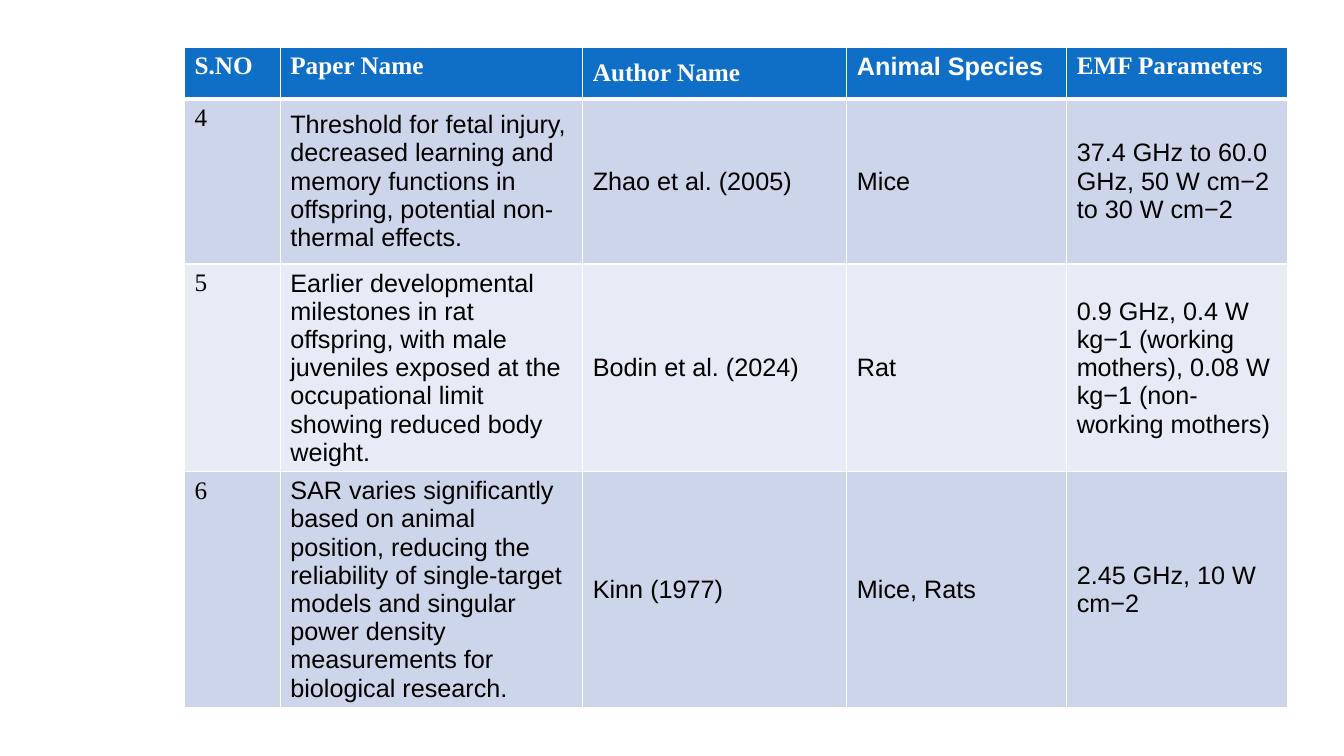
import pptx
import pptx.dml.color
import pptx.enum.text
import pptx.oxml
import pptx.oxml.ns
import pptx.util
from pptx.util import Inches

COLORS = {
    "header": "0F6FC6",
    "odd_row": "CCD5EA",
    "even_row": "E7EBF5",
    "white": "FFFFFF",
    "black": "000000",
}
SERIF = "Times New Roman"
SANS = "Arial"
COLUMN_WIDTHS = [0.95, 3, 2.62, 2.18, 2.19]
ROW_HEIGHTS = [0.51, 1.64, 1.9, 2.16]
HEADINGS = ["S.NO", "Paper Name", "Author Name", "Animal Species", "EMF Parameters"]
STUDIES = [
    ["4",
     "Threshold for fetal injury, decreased learning and memory functions in offspring, "
     "potential non-thermal effects.",
     "Zhao et al. (2005)", "Mice", "37.4 GHz to 60.0 GHz, 50 W cm−2 to 30 W cm−2"],
    ["5",
     "Earlier developmental milestones in rat offspring, with male juveniles exposed at the "
     "occupational limit showing reduced body weight.",
     "Bodin et al. (2024)", "Rat",
     "0.9 GHz, 0.4 W kg−1 (working mothers), 0.08 W kg−1 (non-working mothers)"],
    ["6",
     "SAR varies significantly based on animal position, reducing the reliability of "
     "single-target models and singular power density measurements for biological research.",
     "Kinn (1977)", "Mice, Rats", "2.45 GHz, 10 W cm−2"],
]


class StudySlide:
    def __init__(self, presentation, font_size=18):
        self.slide = presentation.slides.add_slide(presentation.slide_layouts[6])
        self.font_size = pptx.util.Pt(font_size)

    def color(self, name):
        return pptx.dml.color.RGBColor.from_string(COLORS[name])

    def table(self, left, top, column_widths, row_heights):
        table = self.slide.shapes.add_table(
            len(row_heights), len(column_widths), Inches(left), Inches(top),
            Inches(sum(column_widths)), Inches(sum(row_heights))).table
        for column, width in zip(table.columns, column_widths):
            column.width = Inches(width)
        for row, height in zip(table.rows, row_heights):
            row.height = Inches(height)
        return table

    def cell(self, cell, text, fill, text_color, font_name, bold, middle):
        cell.text = text
        anchors = pptx.enum.text.MSO_ANCHOR
        cell.vertical_anchor = anchors.MIDDLE if middle else anchors.TOP
        cell.fill.solid()
        cell.fill.fore_color.rgb = self.color(fill)
        font = cell.text_frame.paragraphs[0].font
        font.name = font_name
        font.size = self.font_size
        font.bold = bold
        font.color.rgb = self.color(text_color)

    def borders(self, cell, top=1, bottom=1):
        properties = cell._tc.get_or_add_tcPr()
        widths = {"lnL": 1, "lnR": 1, "lnT": top, "lnB": bottom}
        for index, (side, width) in enumerate(widths.items()):
            line = pptx.oxml.parse_xml(
                f'<a:{side} {pptx.oxml.ns.nsdecls("a")} w="{pptx.util.Pt(width)}">'
                f'<a:solidFill><a:srgbClr val="{COLORS["white"]}"/></a:solidFill></a:{side}>')
            properties.insert(index, line)


def main():
    presentation = pptx.Presentation()
    presentation.slide_width = Inches(13.33)
    presentation.slide_height = Inches(7.5)
    study_slide = StudySlide(presentation)
    table = study_slide.table(1.83, 0.47, COLUMN_WIDTHS, ROW_HEIGHTS)

    for column, heading in enumerate(HEADINGS):
        cell = table.cell(0, column)
        font_name = SANS if heading == "Animal Species" else SERIF
        study_slide.cell(cell, heading, "header", "white", font_name, True,
                         heading == "Author Name")
        study_slide.borders(cell, bottom=3)

    for row, study in enumerate(STUDIES, start=1):
        fill = "odd_row" if row % 2 else "even_row"
        for column, text in enumerate(study):
            cell = table.cell(row, column)
            study_slide.cell(cell, text, fill, "black", SANS if column else SERIF,
                             False, column > 0)
            study_slide.borders(cell, top=3 if row == 1 else 1)

    presentation.save("out.pptx")


if __name__ == "__main__":
    main()
